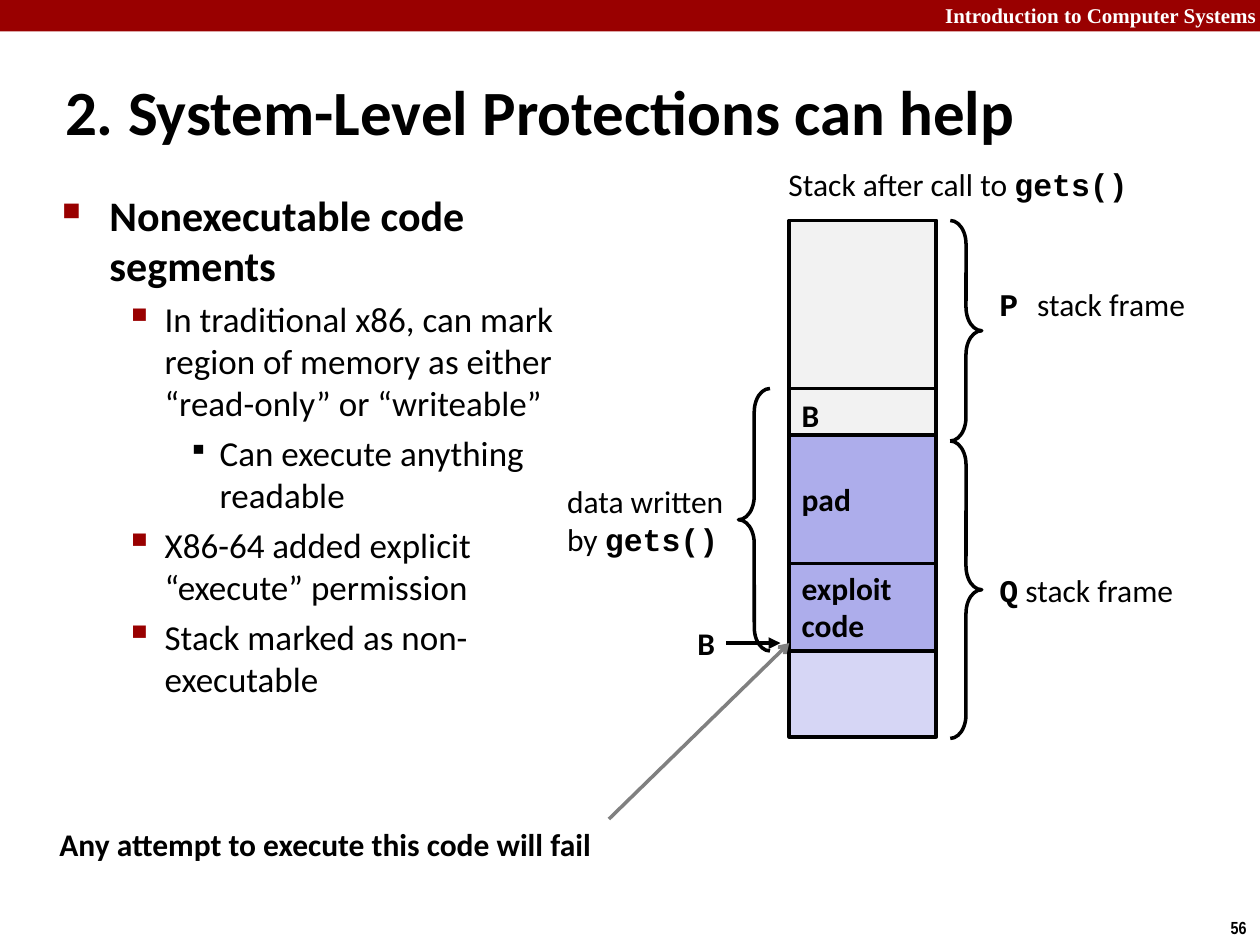
from dataclasses import dataclass

from lxml.etree import SubElement
from pptx import Presentation
from pptx.dml.color import RGBColor
from pptx.enum.shapes import MSO_CONNECTOR, MSO_SHAPE
from pptx.enum.text import MSO_ANCHOR, MSO_AUTO_SIZE, PP_ALIGN
from pptx.oxml.ns import qn
from pptx.util import Pt


@dataclass(frozen=True)
class Theme:
    """Colours, fonts and type sizes of the slide."""
    accent: str = "990000"
    ink: str = "000000"
    paper: str = "FFFFFF"
    caller: str = "F2F2F2"
    written: str = "ADADEB"
    callee: str = "D6D6F5"
    pointer: str = "808080"
    sans: str = "Calibri"
    code: str = "Courier New"
    serif: str = "Times New Roman"
    narrow: str = "Arial Narrow"
    title: float = 36
    heading: float = 24
    body: float = 20
    label: float = 18
    header: float = 12
    number: float = 10


class StackSlide:
    """Draws styled elements on the current slide, with lengths in points."""

    def __init__(self, presentation, theme):
        self.theme = theme
        self.slide = presentation.slides.add_slide(presentation.slide_layouts[5])

    def style(self, font, size, name=None, bold=False, color=None):
        """Set every property of one font."""
        font.size = Pt(size)
        font.name = name or self.theme.sans
        font.bold = bold
        font.color.rgb = RGBColor.from_string(color or self.theme.ink)

    def set_text(self, paragraph, content, size, name=None, bold=False, color=None):
        """Set a string, or a list of (text, font name, bold) runs."""
        if isinstance(content, str):
            paragraph.text = content
            self.style(paragraph.font, size, name, bold, color)
            return
        for text, run_name, run_bold in content:
            run = paragraph.add_run()
            run.text = text
            self.style(run.font, size, run_name, run_bold, color)

    def fill_frame(self, frame, lines, size, align=PP_ALIGN.LEFT, **font):
        """Set one paragraph for each line."""
        for index, line in enumerate(lines):
            paragraph = frame.add_paragraph() if index else frame.paragraphs[0]
            paragraph.alignment = align
            self.set_text(paragraph, line, size, **font)

    def title(self, text, *box):
        """Move the title placeholder and set its text."""
        shape = self.slide.shapes.title
        shape.left, shape.top, shape.width, shape.height = map(Pt, box)
        frame = shape.text_frame
        frame.auto_size = MSO_AUTO_SIZE.NONE
        frame.vertical_anchor = MSO_ANCHOR.MIDDLE
        self.fill_frame(frame, [text], self.theme.title, bold=True)

    def label(self, lines, *box, size=None, anchor=MSO_ANCHOR.MIDDLE, wrap=False, **font):
        """Add a text box that fits its text."""
        frame = self.slide.shapes.add_textbox(*map(Pt, box)).text_frame
        frame.word_wrap = wrap
        frame.auto_size = MSO_AUTO_SIZE.SHAPE_TO_FIT_TEXT
        frame.vertical_anchor = anchor
        self.fill_frame(frame, lines, size or self.theme.label, **font)
        return frame

    def bullets(self, items, *box):
        """Add a list of (level, text) items."""
        theme = self.theme
        levels = [
            ("■", 60, theme.accent, 27, 27, theme.heading),
            ("▪", 110, theme.accent, 58.5, 22.5, theme.body),
            ("▪", 80, theme.ink, 90, 18, theme.body),
        ]
        frame = self.slide.shapes.add_textbox(*map(Pt, box)).text_frame
        frame.word_wrap = True
        for index, (level, text) in enumerate(items):
            mark, percent, color, margin, hanging, size = levels[level]
            paragraph = frame.add_paragraph() if index else frame.paragraphs[0]
            paragraph.level = level
            paragraph.space_before = Pt(4.5 if index else 0)
            properties = paragraph._p.get_or_add_pPr()
            properties.set("marL", str(Pt(margin)))
            properties.set("indent", str(-Pt(hanging)))
            SubElement(SubElement(properties, qn("a:buClr")), qn("a:srgbClr"), val=color)
            SubElement(properties, qn("a:buSzPct"), val=str(percent * 1000))
            SubElement(properties, qn("a:buChar"), char=mark)
            self.set_text(paragraph, text, size, bold=level == 0)

    def block(self, color, lines, *box, outlined=True):
        """Add a filled rectangle with bold text."""
        shape = self.slide.shapes.add_shape(MSO_SHAPE.RECTANGLE, *map(Pt, box))
        shape.shadow.inherit = False
        shape.fill.solid()
        shape.fill.fore_color.rgb = RGBColor.from_string(color)
        if outlined:
            shape.line.color.rgb = RGBColor.from_string(self.theme.ink)
            shape.line.width = Pt(2.25)
        else:
            shape.line.fill.background()
        shape.text_frame.vertical_anchor = MSO_ANCHOR.MIDDLE
        self.fill_frame(shape.text_frame, lines, self.theme.label, bold=True)

    def brace(self, kind, *box):
        """Add a curly brace."""
        shape = self.slide.shapes.add_shape(kind, *map(Pt, box))
        shape.shadow.inherit = False
        shape.adjustments[0] = 0.75
        shape.fill.background()
        shape.line.color.rgb = RGBColor.from_string(self.theme.ink)
        shape.line.width = Pt(2)

    def arrow(self, color, width, head, *ends):
        """Add a straight arrow."""
        connector = self.slide.shapes.add_connector(MSO_CONNECTOR.STRAIGHT, *map(Pt, ends))
        connector.line.color.rgb = RGBColor.from_string(color)
        connector.line.width = Pt(width)
        properties = connector._element.spPr
        SubElement(properties.find(qn("a:ln")), qn("a:tailEnd"), type=head)
        SubElement(properties, qn("a:effectLst"))


def main():
    """Build and save the slide."""
    presentation = Presentation()
    presentation.slide_width, presentation.slide_height = Pt(720), Pt(540)
    theme = Theme()
    page = StackSlide(presentation, theme)

    page.block(theme.accent, [], 0, 0, 720, 18, outlined=False)
    header = page.label(
        ["Introduction to Computer Systems"], 432, 0, 288, 18, size=theme.header, wrap=True,
        anchor=MSO_ANCHOR.TOP, align=PP_ALIGN.RIGHT, name=theme.serif, bold=True, color=theme.paper)
    header.margin_top, header.margin_bottom, header.margin_right = Pt(1.5), Pt(1.5), Pt(2)
    page.label(["56"], 695.5, 520.5, 24.5, 19.5, size=theme.number, anchor=MSO_ANCHOR.TOP,
               align=PP_ALIGN.CENTER, name=theme.narrow, bold=True)
    page.title("2. System-Level Protections can help", 30, 42, 636, 42)
    page.bullets([
        (0, "Nonexecutable code segments"),
        (1, "In traditional x86, can mark region of memory as either “read-only” or “writeable”"),
        (2, "Can execute anything readable"),
        (1, "X86-64 added explicit “execute” permission"),
        (1, "Stack marked as non-executable"),
    ], 28.5, 104.5, 319, 411)

    gets = ("gets()", theme.code, True)
    page.label([[("Stack after call to ", theme.sans, False), gets]], 443.5, 90.5, 211, 29,
               anchor=MSO_ANCHOR.TOP)
    for color, lines, top, height in [
        (theme.caller, ["B"], 222, 30),
        (theme.caller, [], 126, 96),
        (theme.callee, [], 372, 49),
        (theme.written, ["exploit", "code"], 321, 51),
        (theme.written, ["pad"], 248.5, 73.5),
    ]:
        page.block(color, lines, 451, top, 84, height)

    for kind, left, top, height in [
        (MSO_SHAPE.RIGHT_BRACE, 543, 126, 126),
        (MSO_SHAPE.RIGHT_BRACE, 543, 252, 170),
        (MSO_SHAPE.LEFT_BRACE, 422, 222, 150),
    ]:
        page.brace(kind, left, top, 18, height)

    page.label([[("P ", theme.code, True), ("stack frame", theme.sans, False)]],
               564, 159, 122.5, 29)
    page.label([[("Q", theme.code, True), (" stack frame", theme.sans, False)]],
               564, 322.5, 116, 29)
    page.label(["data written", [("by ", theme.sans, False), gets]], 317, 271.5, 108, 51, wrap=True)
    page.label(["B"], 391.5, 353, 24.5, 29, bold=True)
    page.arrow(theme.ink, 2.25, "triangle", 415, 367.5, 446, 367.5)
    page.arrow(theme.pointer, 2, "arrow", 348, 468, 451, 367.5)
    page.label(["Any attempt to execute this code will fail"], 21, 468, 324, 29,
               anchor=MSO_ANCHOR.TOP, align=PP_ALIGN.RIGHT, bold=True)

    presentation.save("out.pptx")


if __name__ == "__main__":
    main()
